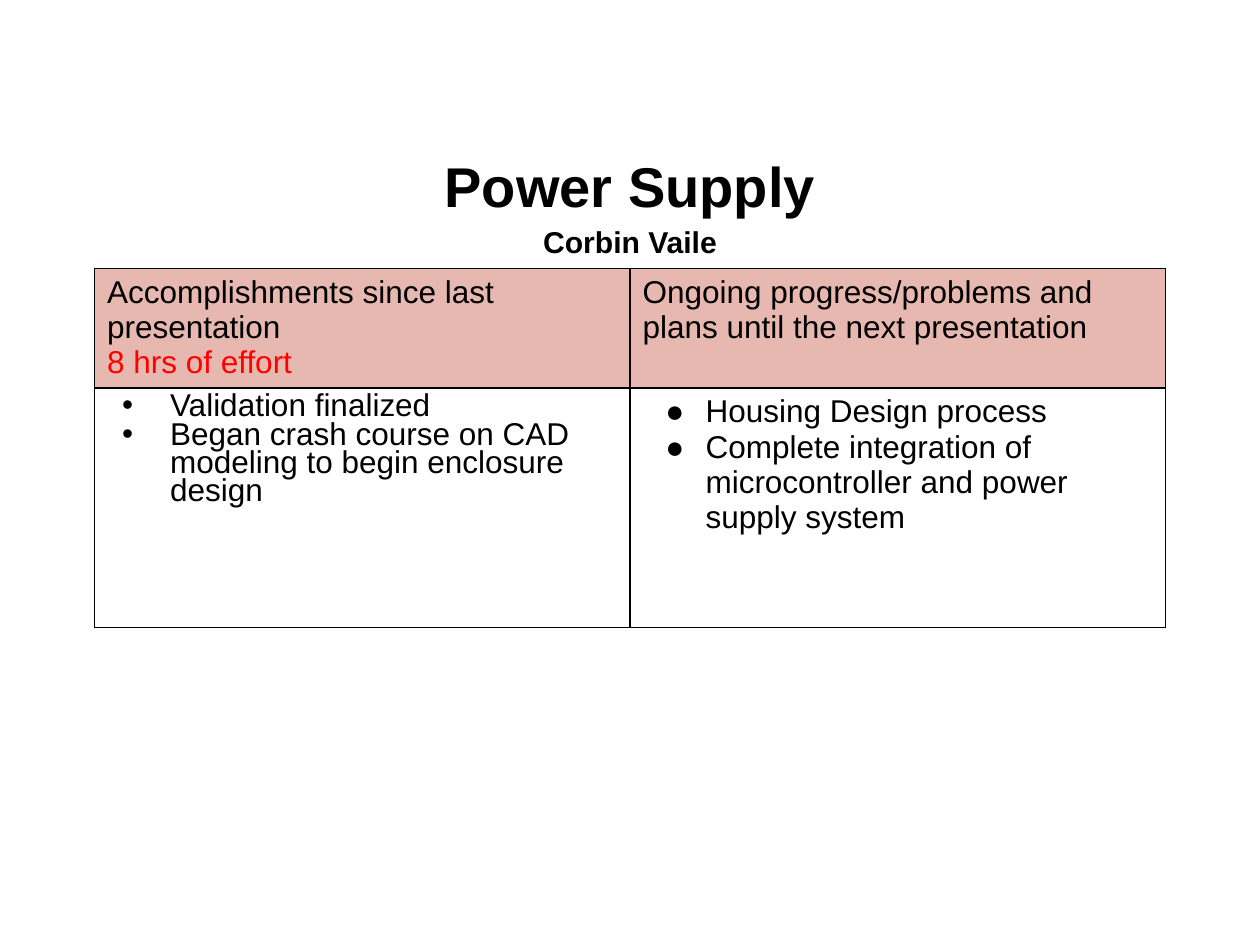
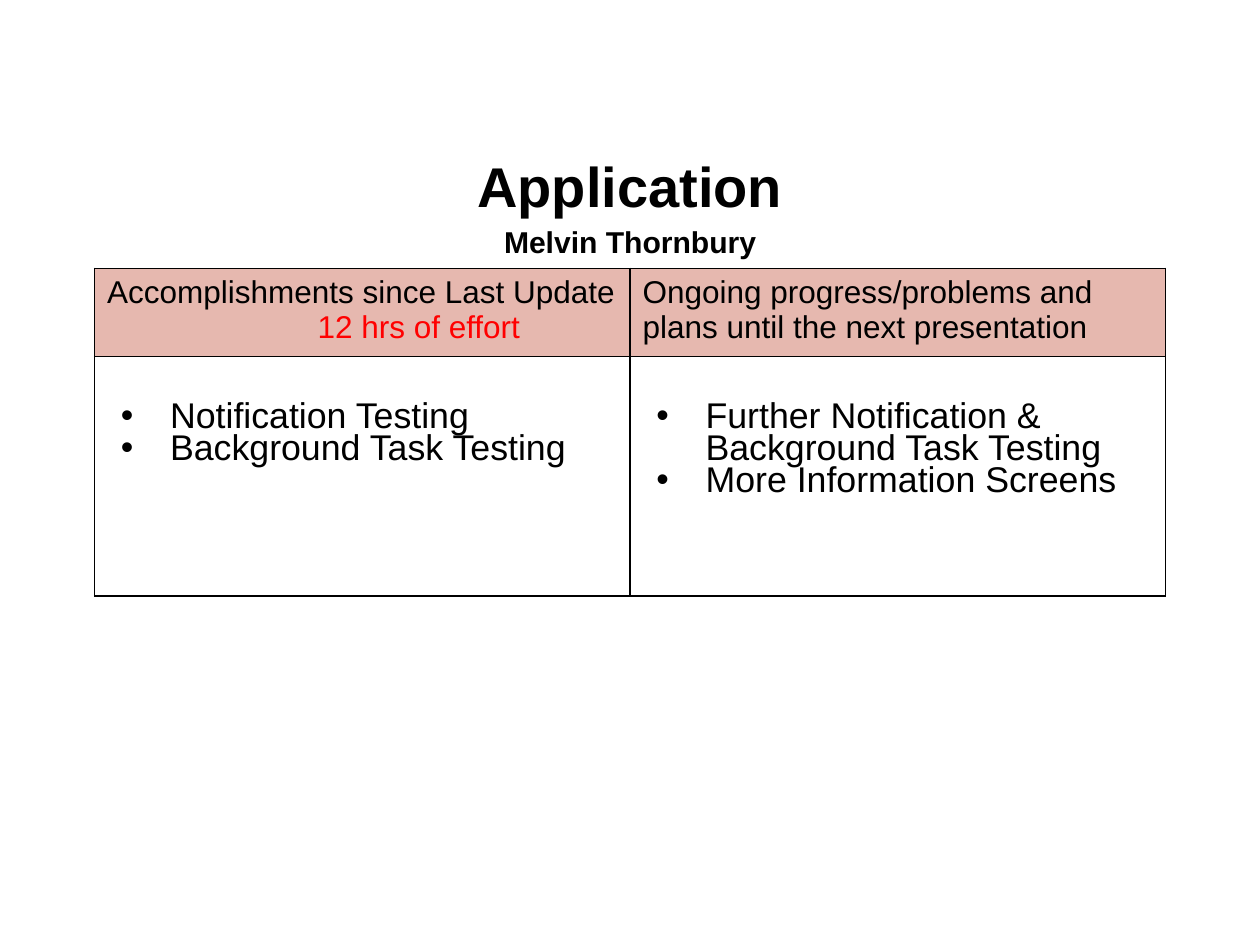
from lxml import etree
from pptx import Presentation
from pptx.dml.color import RGBColor
from pptx.enum.text import MSO_ANCHOR, PP_ALIGN
from pptx.oxml.ns import qn
from pptx.util import Pt

PX = 9144  # EMU in one px, at 100 px to the inch
CENTER, LEFT = PP_ALIGN.CENTER, PP_ALIGN.LEFT
MIDDLE = MSO_ANCHOR.MIDDLE

FONT = "Arial"
COLORS = {"ink": "000000", "effort": "FF0000", "header": "E6B8AF"}

TITLE_BOX = (50, 115, 900, 88)
TABLE_BOX = (75, 213, 850, 260)
HEADER_HEIGHT = 70
PAD_X, PAD_Y = 10, 5
BODY_INDENT = 50

PLANS_HEADING = "Ongoing progress/problems and plans until the next presentation"

UPDATES = [
    {
        "title": "Power Supply",
        "presenter": "Corbin Vaile",
        "heading": "Accomplishments since last presentation",
        "effort": "8 hrs of effort",
        "effort_indent": 0,
        "body_top": PAD_Y,
        "columns": [
            (["Validation finalized",
              "Began crash course on CAD modeling to begin enclosure design"],
             {"size": 18, "bullet": "•", "hanging": 38, "spacing": 0.8}),
            (["Housing Design process",
              "Complete integration of microcontroller and power supply system"],
             {"size": 18, "bullet": "●", "hanging": 32}),
        ],
    },
    {
        "title": "Application",
        "presenter": "Melvin Thornbury",
        "heading": "Accomplishments since Last Update",
        "effort": "12 hrs of effort",
        "effort_indent": 167,
        "body_top": 37,
        "columns": [
            (items, {"size": 20.4, "bullet": "•", "hanging": 39, "spacing": 0.8})
            for items in (
                ["Notification Testing", "Background Task Testing"],
                ["Further Notification & Background Task Testing",
                 "More Information Screens"],
            )
        ],
    },
]


def rgb(name):
    return RGBColor.from_string(COLORS[name])


def set_margins(holder, top=PAD_Y, bottom=PAD_Y):
    holder.margin_left = holder.margin_right = PAD_X * PX
    holder.margin_top, holder.margin_bottom = top * PX, bottom * PX


def add_text(frame, text, size=18, color="ink", bold=False, align=LEFT,
             spacing=1.0, indent=0, hanging=0, bullet=None):
    """Add one paragraph, filling the first one while it is still empty."""
    para = frame.paragraphs[0] if not frame.text else frame.add_paragraph()
    para.alignment, para.line_spacing = align, spacing
    span = para.add_run()
    span.text = text
    span.font.name, span.font.size, span.font.bold = FONT, Pt(size), bold
    span.font.color.rgb = rgb(color)

    props = para._p.get_or_add_pPr()
    props.set("marL", str(indent * PX))
    props.set("indent", str(-hanging * PX))
    if bullet:
        bullet_color = etree.SubElement(props, qn("a:buClr"))
        etree.SubElement(bullet_color, qn("a:srgbClr"), val=COLORS[color])
        etree.SubElement(props, qn("a:buFont"), typeface=FONT)
        etree.SubElement(props, qn("a:buChar"), char=bullet)


def set_borders(cell):
    props = cell._tc.get_or_add_tcPr()
    for position, side in enumerate(("lnL", "lnR", "lnT", "lnB")):
        line = etree.Element(qn("a:" + side), w=str(Pt(1)))
        fill = etree.SubElement(line, qn("a:solidFill"))
        etree.SubElement(fill, qn("a:srgbClr"), val=COLORS["ink"])
        props.insert(position, line)


def add_title(page, box, title, presenter):
    frame = page.shapes.add_textbox(*(length * PX for length in box)).text_frame
    frame.word_wrap = True
    frame.vertical_anchor = MIDDLE
    set_margins(frame)
    for text, size in ((title, 32), (presenter, 17.2)):
        add_text(frame, text, size=size, bold=True, align=CENTER, spacing=1.15)


def add_progress_table(page, box, update):
    left, top, width, height = (length * PX for length in box)
    table = page.shapes.add_table(2, 2, left, top, width, height).table
    table.first_row = table.horz_banding = False
    table.rows[0].height = HEADER_HEIGHT * PX
    table.rows[1].height = height - HEADER_HEIGHT * PX
    for column in table.columns:
        column.width = width // 2

    # Header row, tight at the bottom so that three lines fit closely
    for index, heading in enumerate((update["heading"], PLANS_HEADING)):
        cell = table.cell(0, index)
        cell.fill.solid()
        cell.fill.fore_color.rgb = rgb("header")
        set_margins(cell, bottom=0)
        add_text(cell.text_frame, heading)
    add_text(table.cell(0, 0).text_frame, update["effort"], color="effort",
             indent=update["effort_indent"])

    # Bulleted row
    for index, (items, style) in enumerate(update["columns"]):
        cell = table.cell(1, index)
        cell.fill.background()
        set_margins(cell, top=update["body_top"])
        for item in items:
            add_text(cell.text_frame, item, indent=BODY_INDENT, **style)

    for cell in table.iter_cells():
        set_borders(cell)


def main():
    deck = Presentation()
    deck.slide_width, deck.slide_height = 1000 * PX, 750 * PX
    blank = deck.slide_layouts[6]
    for update in UPDATES:
        page = deck.slides.add_slide(blank)
        add_title(page, TITLE_BOX, update["title"], update["presenter"])
        add_progress_table(page, TABLE_BOX, update)
    deck.save("out.pptx")


if __name__ == "__main__":
    main()
